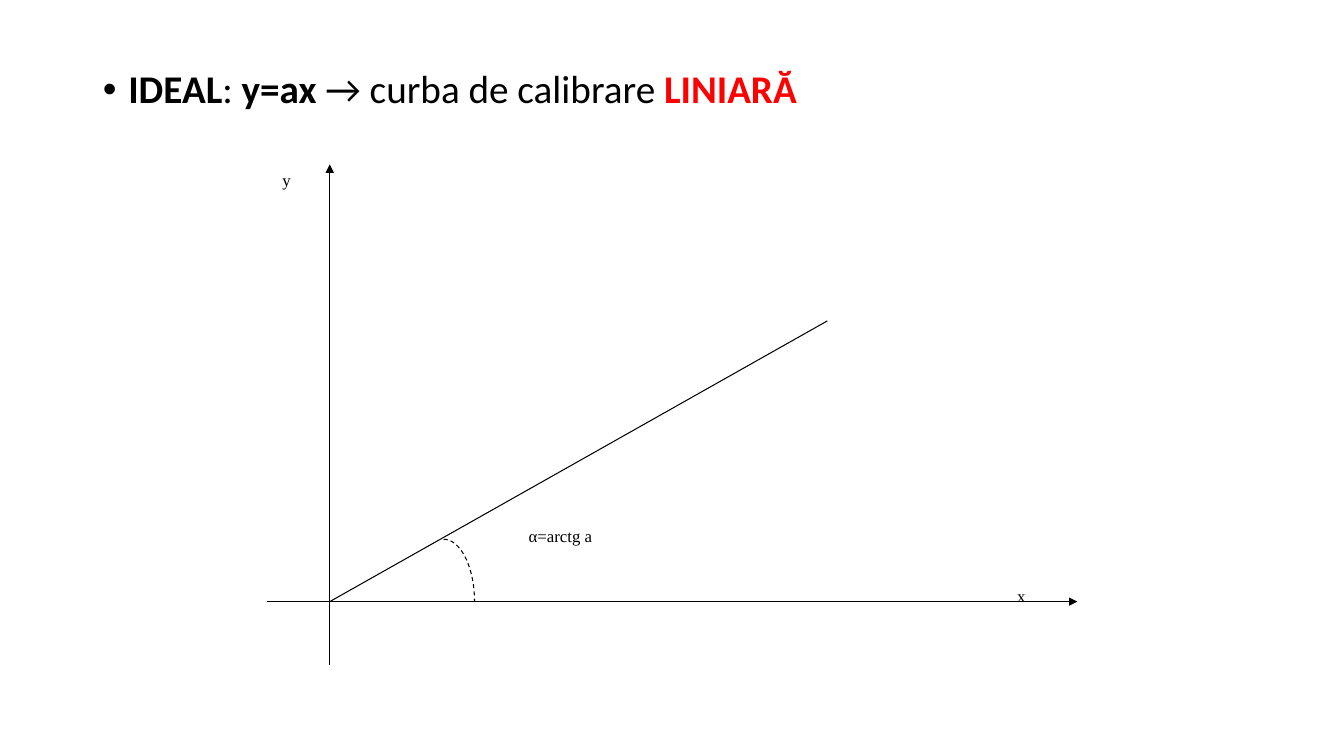
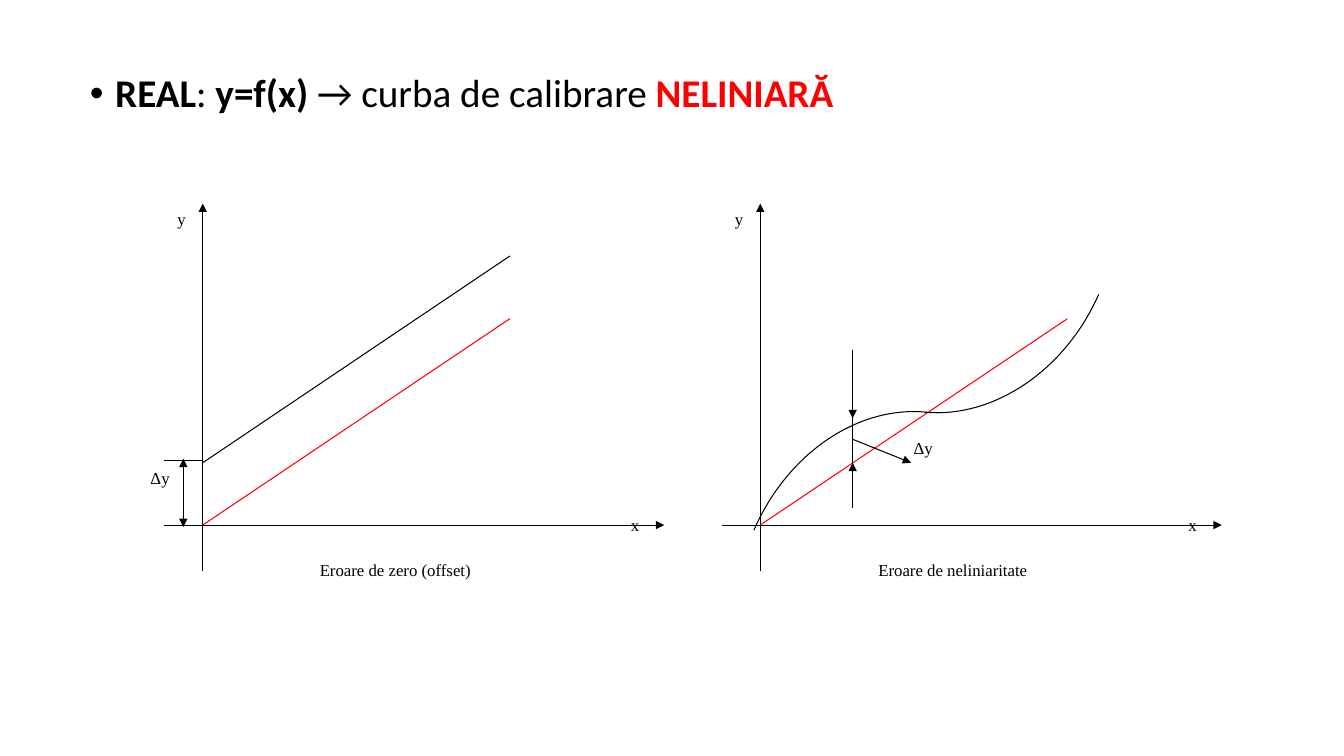
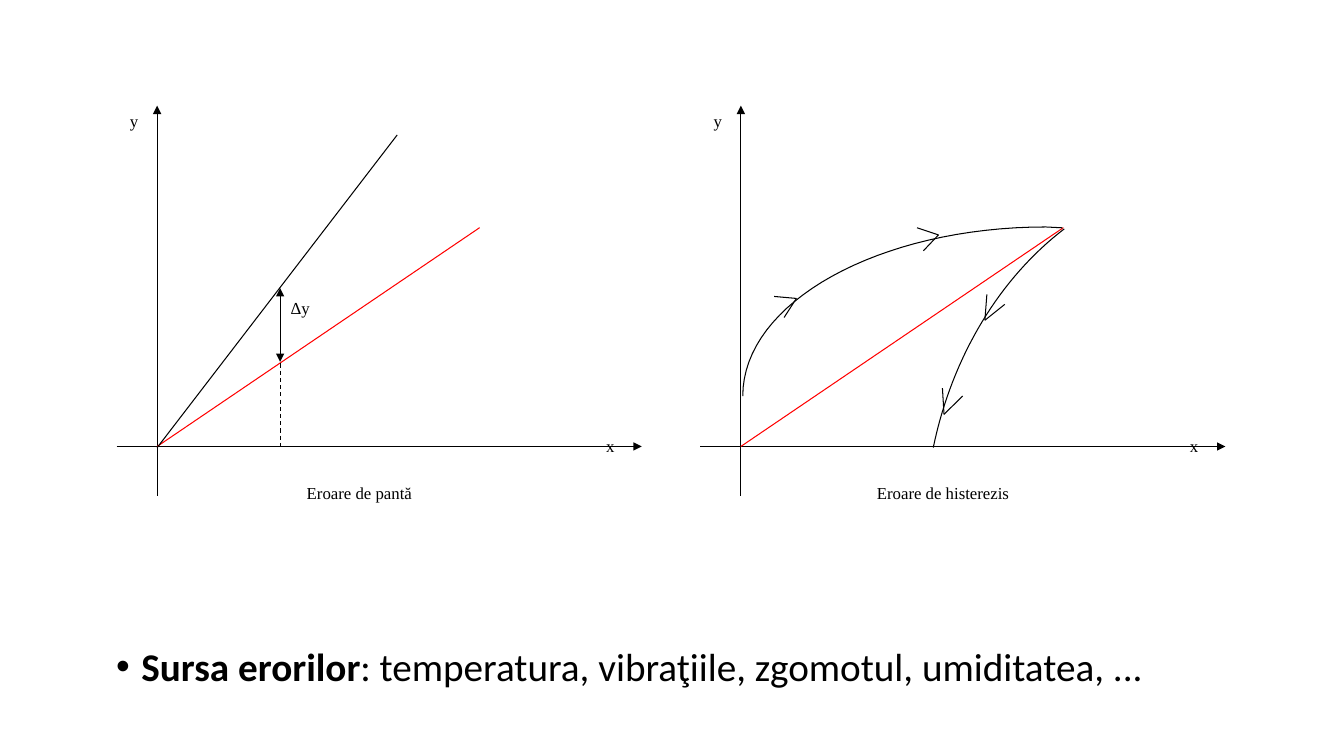
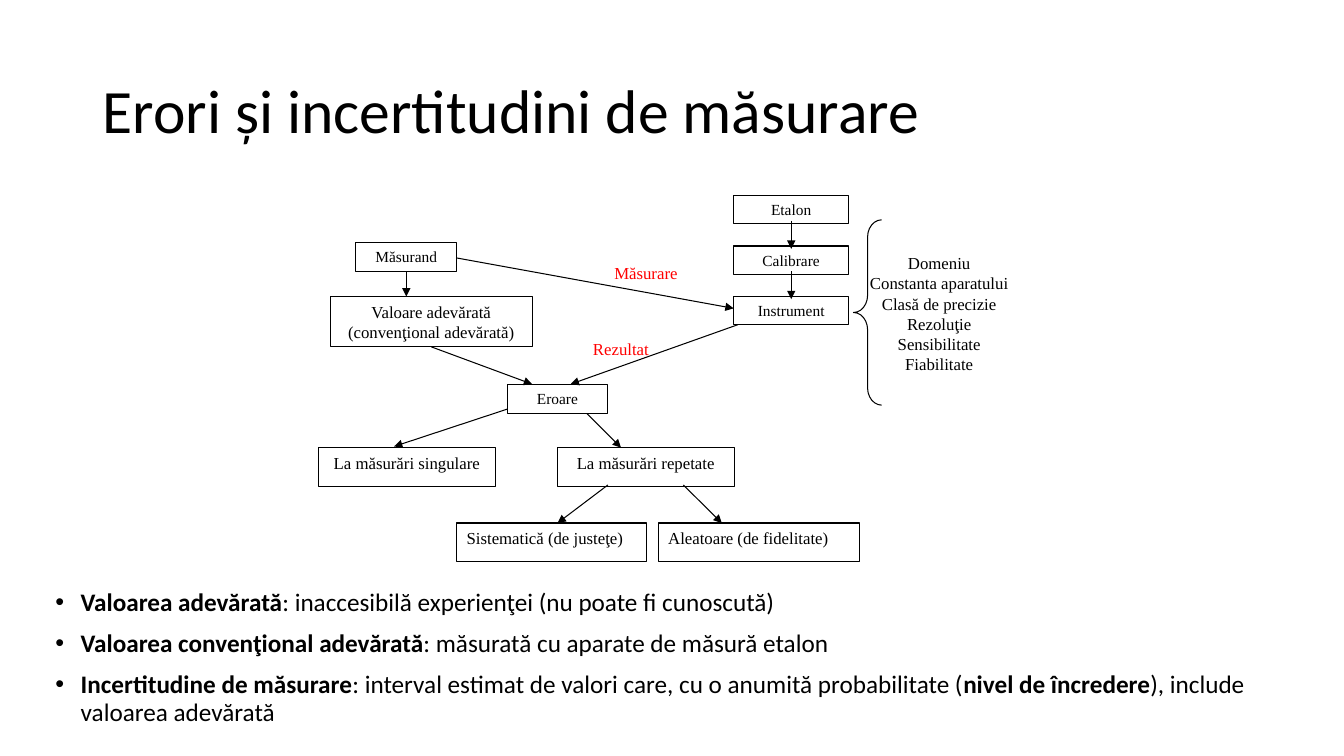
from lxml.etree import SubElement
from pptx import Presentation
from pptx.dml.color import RGBColor
from pptx.enum.dml import MSO_LINE
from pptx.enum.shapes import MSO_CONNECTOR, MSO_SHAPE
from pptx.enum.text import MSO_ANCHOR, MSO_AUTO_SIZE, PP_ALIGN
from pptx.oxml.ns import qn
from pptx.util import Cm, Pt

color = RGBColor.from_string
BLACK, WHITE, RED = "000000", "FFFFFF", "FF0000"
TEXT_FONT, DIAGRAM_FONT = "Calibri", "Times New Roman"
LINE_WIDTH = Pt(0.75)
HIGHLIGHTED = ("LINIARĂ", "NELINIARĂ")
CENTER, LEFT = PP_ALIGN.CENTER, PP_ALIGN.LEFT


def add_label(slide, text, box, size=12, ink=BLACK, border=False, align=CENTER):
    label = slide.shapes.add_shape(MSO_SHAPE.RECTANGLE, *[Cm(v) for v in box])
    label.shadow.inherit = False
    label.fill.solid()
    label.fill.fore_color.rgb = color(WHITE)
    if border:
        label.line.color.rgb = color(BLACK)
        label.line.width = LINE_WIDTH
    else:
        label.line.fill.background()
    frame = label.text_frame
    frame.word_wrap = True
    frame.vertical_anchor = MSO_ANCHOR.TOP
    frame.text = text
    for paragraph in frame.paragraphs:
        paragraph.alignment = align
        paragraph.font.size = Pt(size)
        paragraph.font.name = DIAGRAM_FONT
        paragraph.font.color.rgb = color(ink)


def add_stroke(slide, points, ink=BLACK, arrows=(), dashed=False):
    if len(points) == 2:
        ends = [Cm(v) for point in points for v in point]
        stroke = slide.shapes.add_connector(MSO_CONNECTOR.STRAIGHT, *ends)
    else:
        curve = []
        for step in range(33):
            t = step / 32
            weights = ((1 - t) ** 3, 3 * t * (1 - t) ** 2, 3 * t * t * (1 - t), t ** 3)
            curve.append([Cm(sum(w * p[axis] for w, p in zip(weights, points))) for axis in (0, 1)])
        builder = slide.shapes.build_freeform(*curve[0])
        builder.add_line_segments(curve[1:], close=False)
        stroke = builder.convert_to_shape()
        stroke.fill.background()
    stroke.line.color.rgb = color(ink)
    stroke.line.width = LINE_WIDTH
    if dashed:
        stroke.line.dash_style = MSO_LINE.DASH
    properties = stroke.element.spPr
    for end in arrows:
        SubElement(properties.find(qn("a:ln")), qn("a:" + end)).set("type", "triangle")
    SubElement(properties, qn("a:effectLst"))


FORWARD, BOTH = ("tailEnd",), ("headEnd", "tailEnd")

presentation = Presentation()
presentation.slide_width, presentation.slide_height = Cm(33.87), Cm(19.05)

contents = [
    ("", (2.34, 1.63, 29.21, 1.63), 28,
     [["IDEAL", ": ", "y=ax ", "→ curba de calibrare ", "LINIARĂ"]]),
    ("", (2.01, 1.73, 29.21, 1.32), 28,
     [["REAL", ": ", "y=f(x) ", "→ curba de calibrare ", "NELINIARĂ"]]),
    ("", (2.67, 16.18, 29.21, 2.24), 28,
     [["Sursa erorilor", ": temperatura, vibraţiile, zgomotul, umiditatea, ..."]]),
    ("Erori și incertitudini de măsurare", (1.14, 14.73, 32.05, 3.73), 18,
     [["Valoarea adevărată", ": inaccesibilă experienţei (nu poate fi cunoscută)"],
      ["Valoarea convenţional adevărată", ": măsurată cu aparate de măsură etalon"],
      ["Incertitudine de măsurare",
       ": interval estimat de valori care, cu o anumită probabilitate (",
       "nivel de încredere", "), include valoarea adevărată"]]),
]

for heading, body_box, size, items in contents:
    slide = presentation.slides.add_slide(presentation.slide_layouts[1])
    title, body = slide.placeholders
    if heading:
        title.left, title.top, title.width, title.height = Cm(2.34), Cm(1.02), Cm(29.21), Cm(3.68)
        title.text_frame.text = heading
        title.text_frame.auto_size = MSO_AUTO_SIZE.NONE
        title.text_frame.vertical_anchor = MSO_ANCHOR.MIDDLE
        paragraph = title.text_frame.paragraphs[0]
        paragraph.alignment = LEFT
        paragraph.line_spacing = 0.9
        paragraph.font.size = Pt(44)
        paragraph.font.name = TEXT_FONT
        paragraph.font.color.rgb = color(BLACK)
    else:
        title.element.getparent().remove(title.element)
    body.left, body.top, body.width, body.height = [Cm(v) for v in body_box]
    frame = body.text_frame
    frame.text = "\n".join("" for item in items)
    frame.auto_size = MSO_AUTO_SIZE.NONE
    for paragraph, item in zip(frame.paragraphs, items):
        paragraph.line_spacing = 0.9
        paragraph.space_before = Pt(10)
        indents = paragraph.element.get_or_add_pPr() if hasattr(paragraph, "element") else paragraph._p.get_or_add_pPr()
        indents.set("marL", str(Cm(0.64)))
        indents.set("indent", str(-Cm(0.64)))
        for position, segment in enumerate(item):
            run = paragraph.add_run()
            run.text = segment
            run.font.bold = position % 2 == 0
            run.font.size = Pt(size)
            run.font.name = TEXT_FONT
            run.font.color.rgb = color(RED if segment in HIGHLIGHTED else BLACK)

ideal, real, errors, concepts = presentation.slides

add_label(ideal, "α=arctg a", (11.38, 13.13, 5.49, 2.36))
add_label(real, "Δy", (3.07, 11.66, 1.93, 1.73))
add_label(real, "Δy", (22.3, 10.9, 1.93, 1.73))
add_label(errors, "Δy", (6.55, 7.37, 2.03, 1.85))

diagrams = [
    (ideal, 8.31, 15.16, 1.62, 1.36, "", BLACK),
    (real, 5.11, 13.23, 1, 1, "Eroare de zero (offset)", RED),
    (real, 19.16, 13.23, 1, 1, "Eroare de neliniaritate", RED),
    (errors, 3.96, 11.25, 1.05, 1.06, "Eroare de pantă", RED),
    (errors, 18.67, 11.25, 1.05, 1.06, "Eroare de histerezis", RED),
]
for slide, x, y, across, up, caption, ink in diagrams:
    top = y - 8.1 * up
    right = x + 11.63 * across
    if caption:
        add_label(slide, caption, (x + 1.44 * across, y + 0.74 * up, 6.83 * across, 1.73 * up))
    for name, left, label_top in (("x", right - 1.09 * across, y - 0.38 * up), ("y", x - 0.89 * across, top)):
        add_label(slide, name, (left, label_top, 0.97 * across, 1.7 * up), align=LEFT)
    add_stroke(slide, [(x, y + 1.17 * up), (x, top)], arrows=FORWARD)
    add_stroke(slide, [(x - 0.97 * across, y), (right, y)], arrows=FORWARD)
    add_stroke(slide, [(x, y), (x + 7.74 * across, y - 5.2 * up)], ink)

add_stroke(ideal, [(11.18, 13.59), (11.61, 13.59), (11.96, 14.3), (11.96, 15.16)], dashed=True)

for points, arrows in [
    ([(4.14, 11.61), (5.11, 11.61)], ()),
    ([(5.11, 11.66), (12.85, 6.45)], ()),
    ([(4.62, 11.56), (4.62, 13.28)], BOTH),
    ([(21.49, 11.07), (22.96, 11.66)], FORWARD),
    ([(21.49, 8.81), (21.49, 10.54)], FORWARD),
    ([(23.37, 10.39), (21.62, 10.21), (19.84, 11.43), (19, 13.36)], ()),
    ([(23.32, 10.39), (25.07, 10.54), (26.85, 9.32), (27.69, 7.42)], ()),
    ([(21.49, 9.93), (21.49, 12.8)], ()),
    ([(21.49, 12.24), (21.49, 11.66)], FORWARD),
]:
    add_stroke(real, points, arrows=arrows)

add_stroke(errors, [(3.96, 11.28), (10.01, 3.4)])
add_stroke(errors, [(7.06, 7.26), (7.06, 9.12)], arrows=BOTH)
add_stroke(errors, [(7.06, 7.52), (7.06, 11.23)], dashed=True)
add_stroke(errors, [(26.77, 5.74), (26.37, 5.72)])
add_stroke(errors, [(26.37, 5.72), (22.15, 5.72), (18.72, 7.62), (18.72, 9.98)])
add_stroke(errors, [(26.82, 5.77), (25.2, 7.01), (24, 8.97), (23.52, 11.28)])
for tip, *wings in [
    ((20.07, 7.52), (19.51, 7.47), (19.76, 8)),
    ((23.65, 5.92), (23.11, 5.74), (23.27, 6.32)),
    ((24.82, 8.07), (25.32, 7.67), (24.87, 7.42)),
    ((23.79, 10.44), (24.26, 9.98), (23.75, 9.78)),
]:
    for wing in wings:
        add_stroke(errors, [wing, tip])

add_label(concepts, "Rezultat", (14.38, 8.41, 2.54, 0.79), ink=RED)
add_label(concepts, "Măsurare", (15.01, 6.5, 2.54, 0.84), ink=RED)
for text, box, size, align in [
    ("Măsurand", (8.97, 6.1, 2.54, 0.74), 11, CENTER),
    ("Valoare adevărată\n(convenţional adevărată)", (8.33, 7.47, 5.08, 1.27), 12, CENTER),
    ("Eroare", (12.78, 9.68, 2.54, 0.74), 11, CENTER),
    ("La măsurări singulare", (8.03, 11.28, 4.45, 0.97), 12, CENTER),
    ("La măsurări repetate", (14.05, 11.28, 4.45, 0.97), 12, CENTER),
    ("Sistematică (de justeţe)", (11.51, 13.18, 4.78, 0.97), 12, LEFT),
    ("Aleatoare (de fidelitate)", (16.59, 13.18, 5.08, 0.97), 12, LEFT),
]:
    add_label(concepts, text, box, size, border=True, align=align)
for row, text in enumerate(("Etalon", "Calibrare", "Instrument")):
    add_label(concepts, text, (18.49, 4.93 + 1.27 * row, 2.9, 0.71), 11, border=True)

for points in [
    [(11.51, 6.5), (18.49, 7.77)],
    [(18.6, 8.18), (14.38, 9.68)],
    [(10.24, 6.83), (10.24, 7.47)],
    [(10.87, 8.74), (13.41, 9.68)],
    [(12.78, 10.31), (9.93, 11.25)],
    [(14.79, 10.42), (15.65, 11.28)],
    [(15.32, 12.22), (14.05, 13.18)],
    [(17.22, 12.22), (18.19, 13.18)],
    [(19.94, 5.56), (19.94, 6.27)],
    [(19.94, 6.83), (19.94, 7.54)],
]:
    add_stroke(concepts, points, arrows=FORWARD)

features = "Domeniu\nConstanta aparatului\nClasă de precizie\nRezoluţie\nSensibilitate\nFiabilitate"
add_label(concepts, features, (21.51, 6.25, 4.32, 3.23))
brace = concepts.shapes.add_shape(MSO_SHAPE.LEFT_BRACE, Cm(21.51), Cm(5.54), Cm(0.71), Cm(4.67))
brace.adjustments[0] = 0.61
brace.shadow.inherit = False
brace.fill.background()
brace.line.color.rgb = color(BLACK)
brace.line.width = LINE_WIDTH

presentation.save("out.pptx")
